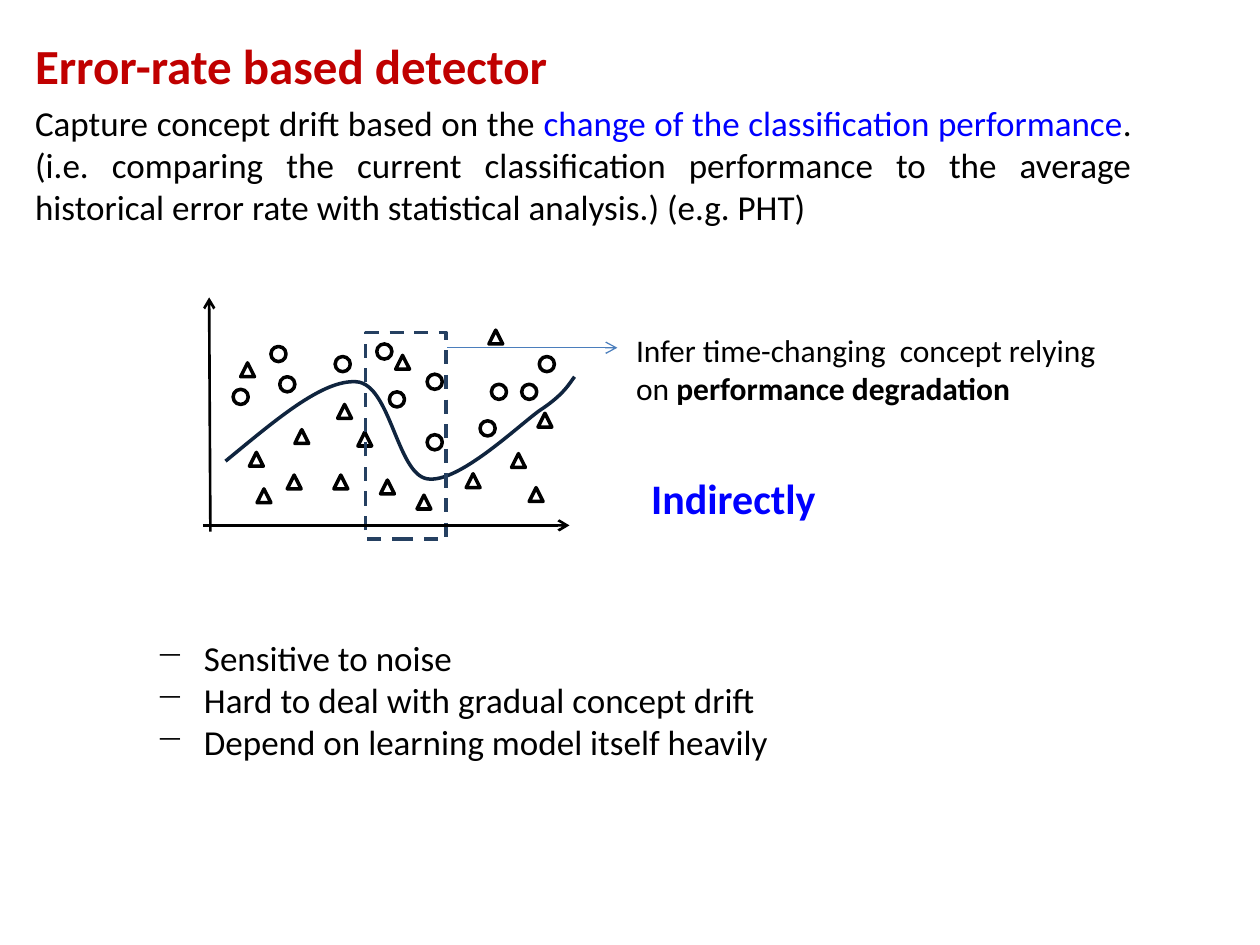
import pptx
import pptx.util
import pptx.dml.color
import pptx.enum.dml
import pptx.enum.shapes
import pptx.enum.text
import pptx.oxml.ns
import lxml.etree

Inches = pptx.util.Inches
Pt = pptx.util.Pt
RGBColor = pptx.dml.color.RGBColor
SHAPE = pptx.enum.shapes.MSO_SHAPE
qn = pptx.oxml.ns.qn

BLACK = RGBColor(0x00, 0x00, 0x00)
RED = RGBColor(0xC0, 0x00, 0x00)
BLUE = RGBColor(0x00, 0x00, 0xFF)
NAVY = RGBColor(0x0F, 0x24, 0x3E)
WINDOW_BLUE = RGBColor(0x25, 0x40, 0x61)
ARROW_BLUE = RGBColor(0x4B, 0x7E, 0xBC)

deck = pptx.Presentation()
deck.slide_width = Inches(10)
deck.slide_height = Inches(7.5)
page = deck.slides.add_slide(deck.slide_layouts[6])


def add_text(left, top, width, height, paragraphs, justify=False, bullet=None, space=0):
    """Add a text box; each paragraph is a list of (text, size, colour, bold)."""
    box = page.shapes.add_textbox(Inches(left), Inches(top), Inches(width), Inches(height))
    frame = box.text_frame
    frame.word_wrap = True
    frame.auto_size = pptx.enum.text.MSO_AUTO_SIZE.SHAPE_TO_FIT_TEXT
    for number, spans in enumerate(paragraphs):
        para = frame.add_paragraph() if number else frame.paragraphs[0]
        if bullet:
            properties = para._p.get_or_add_pPr()
            properties.set("marL", str(Inches(0.38)))
            properties.set("indent", str(-Inches(0.38)))
            lxml.etree.SubElement(properties, qn("a:buChar")).set("char", bullet)
        if justify:
            para.alignment = pptx.enum.text.PP_ALIGN.JUSTIFY
        if number and space:
            para.space_before = Pt(space)
        for text, size, colour, bold in spans:
            span = para.add_run()
            span.text = text
            span.font.name = "Calibri"
            span.font.size = Pt(size)
            span.font.color.rgb = colour
            span.font.bold = bold


def style_outline(shape, colour, width):
    shape.shadow.inherit = False
    shape.fill.background()
    shape.line.color.rgb = colour
    shape.line.width = Pt(width)


# Heading, definition and drawbacks
add_text(0.18, 0.23, 8.9, 1.64, [
    [("Error-rate based detector", 28, RED, True)],
    [("Capture concept drift based on the ", 20, BLACK, False),
     ("change of the classification performance", 20, BLUE, False),
     (". (i.e. comparing the current classification performance to the average "
      "historical error rate with statistical analysis.) (e.g. PHT)", 20, BLACK, False)],
], justify=True, space=4.3)

drawbacks = ["Sensitive to noise", "Hard to deal with gradual concept drift",
             "Depend on learning model itself heavily"]
add_text(1.14, 5, 7.25, 1.11, [[(text, 20, BLACK, False)] for text in drawbacks],
         justify=True, bullet="−")

# Samples of the two classes
circles = [(1.85, 3.09), (2.66, 2.83), (2.15, 2.75), (2.22, 2.99), (2.99, 2.73), (3.39, 3.45),
           (3.09, 3.11), (3.9, 3.05), (3.81, 3.34), (3.39, 2.97), (4.14, 3.05), (4.28, 2.83)]
triangles = [(1.98, 3.59), (2.04, 3.88), (2.34, 3.41), (2.68, 3.21), (2.65, 3.77), (2.28, 3.77),
             (2.84, 3.43), (3.02, 3.81), (3.31, 3.93), (3.7, 3.76), (4.06, 3.6), (4.27, 3.28),
             (4.2, 3.87), (3.88, 2.62), (1.91, 2.88), (3.14, 2.82)]
for kind, size, places in [(SHAPE.OVAL, 0.12, circles),
                           (SHAPE.ISOSCELES_TRIANGLE, 0.11, triangles)]:
    for left, top in places:
        sample = page.shapes.add_shape(kind, Inches(left), Inches(top), Inches(size), Inches(size))
        style_outline(sample, BLACK, 2)

# Decision boundary: each three points after the start make one Bezier segment
boundary_points = [(1.79, 3.66),
                   (2.18, 3.34), (2.56, 3.01), (2.83, 3.03),
                   (3.1, 3.05), (3.15, 3.76), (3.39, 3.8),
                   (3.63, 3.84), (4.09, 3.4), (4.28, 3.26),
                   (4.48, 3.13), (4.52, 3.04), (4.56, 2.99)]
points = [(Inches(x), Inches(y)) for x, y in boundary_points]
builder = page.shapes.build_freeform(*points[0])
builder.add_line_segments(points[1:], close=False)
boundary = builder.convert_to_shape()
style_outline(boundary, NAVY, 2)
outline = next(boundary._element.iter(qn("a:path")))
steps = outline.findall(qn("a:lnTo"))
for first in range(0, len(steps), 3):
    curve = lxml.etree.SubElement(outline, qn("a:cubicBezTo"))
    for step in steps[first:first + 3]:
        curve.append(step[0])
        outline.remove(step)

# Time window
window = page.shapes.add_shape(SHAPE.RECTANGLE, Inches(2.9), Inches(2.64),
                               Inches(0.64), Inches(1.64))
style_outline(window, WINDOW_BLUE, 2)
window.line.dash_style = pptx.enum.dml.MSO_LINE.DASH

# Axes and the arrow to the explanation
arrows = [(1.61, 4.17, 4.52, 4.17, BLACK, 1.5),
          (1.67, 4.22, 1.66, 2.36, BLACK, 1.5),
          (3.55, 2.76, 4.9, 2.76, ARROW_BLUE, 0.75)]
for x1, y1, x2, y2, colour, width in arrows:
    arrow = page.shapes.add_connector(pptx.enum.shapes.MSO_CONNECTOR.STRAIGHT,
                                      Inches(x1), Inches(y1), Inches(x2), Inches(y2))
    arrow.line.color.rgb = colour
    arrow.line.width = Pt(width)
    line = arrow.line._get_or_add_ln()
    lxml.etree.SubElement(line, qn("a:tailEnd")).set("type", "arrow")
    lxml.etree.SubElement(arrow._element.spPr, qn("a:effectLst"))

add_text(4.95, 2.58, 3.96, 0.71, [
    [("Infer time-changing  concept relying on ", 18, BLACK, False),
     ("performance degradation", 18, BLACK, True)]])
add_text(5.07, 3.7, 1.82, 0.5, [[("Indirectly", 24, BLUE, True)]])

deck.save("out.pptx")
